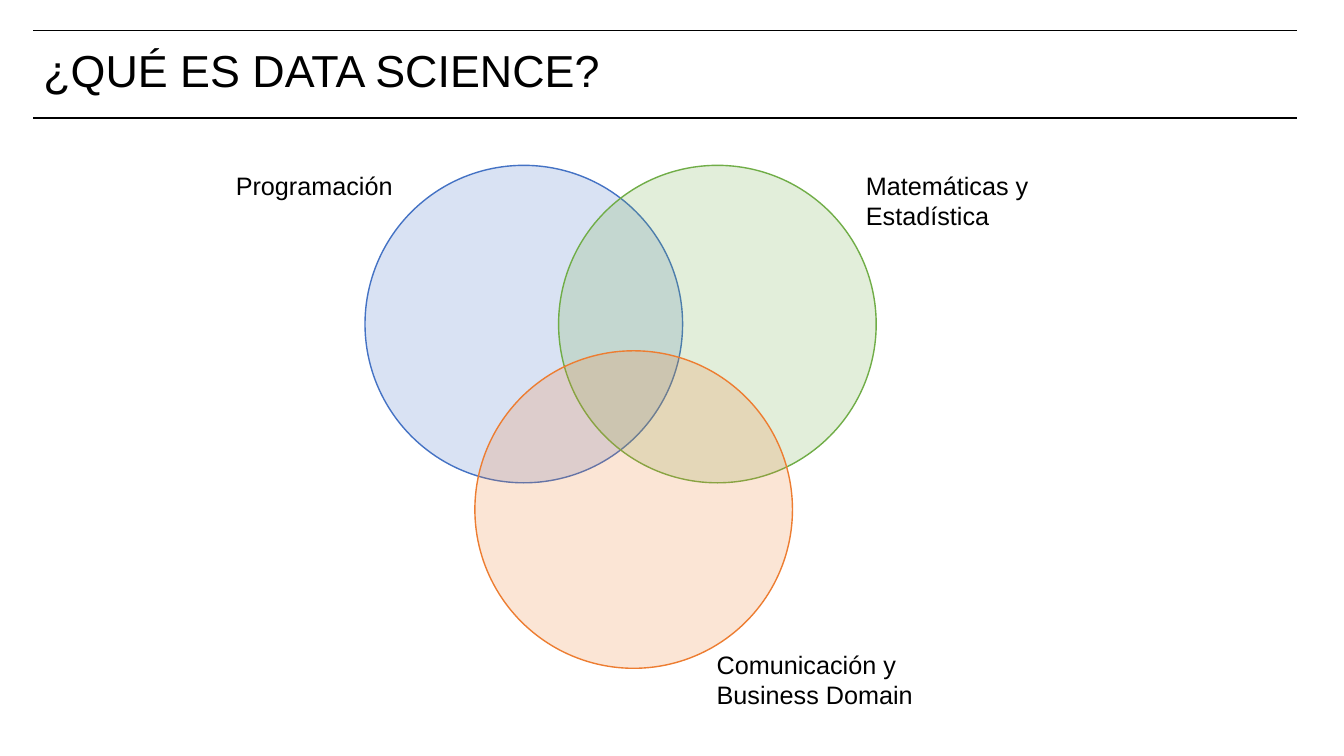
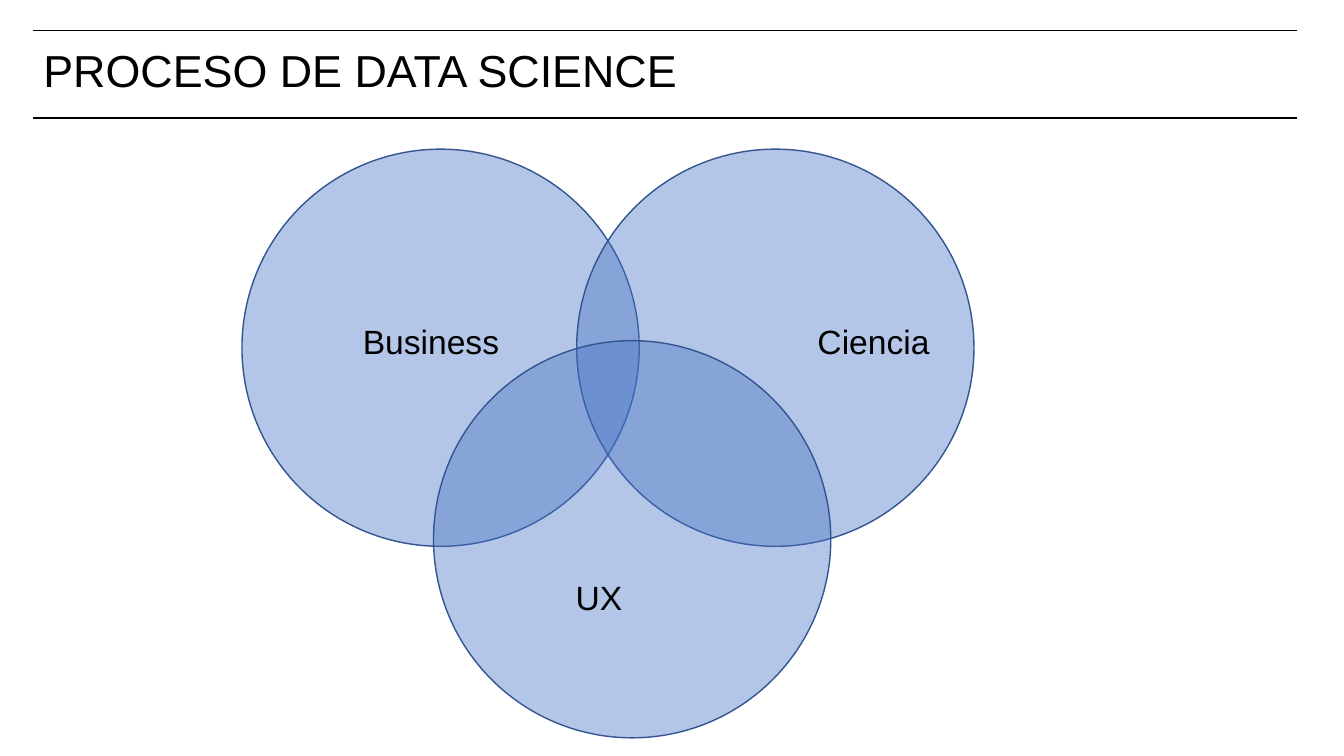
from lxml import etree
from pptx import Presentation
from pptx import util as u
from pptx.dml.color import RGBColor
from pptx.enum import shapes, text
from pptx.oxml import ns

BLACK = RGBColor(0x00, 0x00, 0x00)
BLUE = RGBColor(0x44, 0x72, 0xC4)
NAVY = RGBColor(0x32, 0x54, 0x91)
GREEN = RGBColor(0x70, 0xAD, 0x47)
ORANGE = RGBColor(0xED, 0x7D, 0x31)
FONT = "Arial"
SCALE = 9144
LEFT, WIDE = 33, 1253
RULES = (30, 117)
TITLE = (LEFT, 43, WIDE, 59)

SLIDES = [
    {
        "title": "¿QUÉ ES DATA SCIENCE?",
        "size": 315, "alpha": 20, "font": 18, "wrap": True,
        "circles": [
            (362, 164, BLUE, BLUE),
            (554, 164, GREEN, GREEN),
            (471, 348, ORANGE, ORANGE),
        ],
        "labels": [
            ("Matemáticas y Estadística", (849, 164, 193, 71)),
            ("Programación", (224, 164, 193, 40)),
            ("Comunicación y Business Domain", (701, 639, 253, 71)),
        ],
    },
    {
        "title": "PROCESO DE DATA SCIENCE",
        "size": 394, "alpha": 40, "font": 24, "wrap": False,
        "circles": [
            (240, 148, BLUE, NAVY),
            (572, 148, BLUE, NAVY),
            (430, 338, BLUE, NAVY),
        ],
        "labels": [
            ("Business", (350, 313, 157, 50)),
            ("Ciencia", (801, 313, 133, 50)),
            ("UX", (561, 567, 67, 50)),
        ],
    },
]


def px(*vals):
    return [u.Emu(v * SCALE) for v in vals]


def write(par, words, size):
    run = par.add_run()
    run.text = words
    run.font.name = FONT
    run.font.size = u.Pt(size)
    run.font.color.rgb = BLACK


def add_rules(slide, layout):
    for num, y in enumerate(RULES):
        rule = slide.shapes.add_connector(
            shapes.MSO_CONNECTOR.STRAIGHT, *px(LEFT, y, LEFT + WIDE, y))
        rule.line.color.rgb = BLACK
        rule.line.width = u.Pt(1)
        node = rule.element
        etree.SubElement(node.spPr, ns.qn("a:effectLst"))
        node.xpath(".//p:cNvPr")[0].set("id", str(100 + num))
        layout.shapes.element.append(node)


def add_title(slide, words):
    frame = slide.shapes.title.text_frame
    frame.auto_size = text.MSO_AUTO_SIZE.NONE
    frame.vertical_anchor = text.MSO_ANCHOR.MIDDLE
    par = frame.paragraphs[0]
    par.alignment = text.PP_ALIGN.LEFT
    par.line_spacing = 0.9
    write(par, words, 32)


def add_circle(slide, x, y, size, fill, edge, alpha):
    disc = slide.shapes.add_shape(
        shapes.MSO_SHAPE.OVAL, *px(x, y, size, size))
    disc.shadow.inherit = False
    disc.fill.solid()
    disc.fill.fore_color.rgb = fill
    tint = disc.element.spPr.find(ns.qn("a:solidFill"))[0]
    etree.SubElement(tint, ns.qn("a:alpha")).set("val", str(alpha * 1000))
    disc.line.color.rgb = edge
    disc.line.width = u.Pt(1)


def add_label(slide, words, box, size, wrap):
    frame = slide.shapes.add_textbox(*px(*box)).text_frame
    frame.word_wrap = wrap
    frame.auto_size = text.MSO_AUTO_SIZE.SHAPE_TO_FIT_TEXT
    write(frame.paragraphs[0], words, size)


def main():
    deck = Presentation()
    deck.slide_width, deck.slide_height = px(1333, 750)
    layout = deck.slide_layouts.get_by_name("Title Only")
    head = layout.placeholders[0]
    head.left, head.top, head.width, head.height = px(*TITLE)
    for num, data in enumerate(SLIDES):
        slide = deck.slides.add_slide(layout)
        if num == 0:
            add_rules(slide, layout)
        add_title(slide, data["title"])
        for x, y, fill, edge in data["circles"]:
            add_circle(slide, x, y, data["size"], fill, edge, data["alpha"])
        for words, box in data["labels"]:
            add_label(slide, words, box, data["font"], data["wrap"])
    deck.save("out.pptx")


if __name__ == "__main__":
    main()
